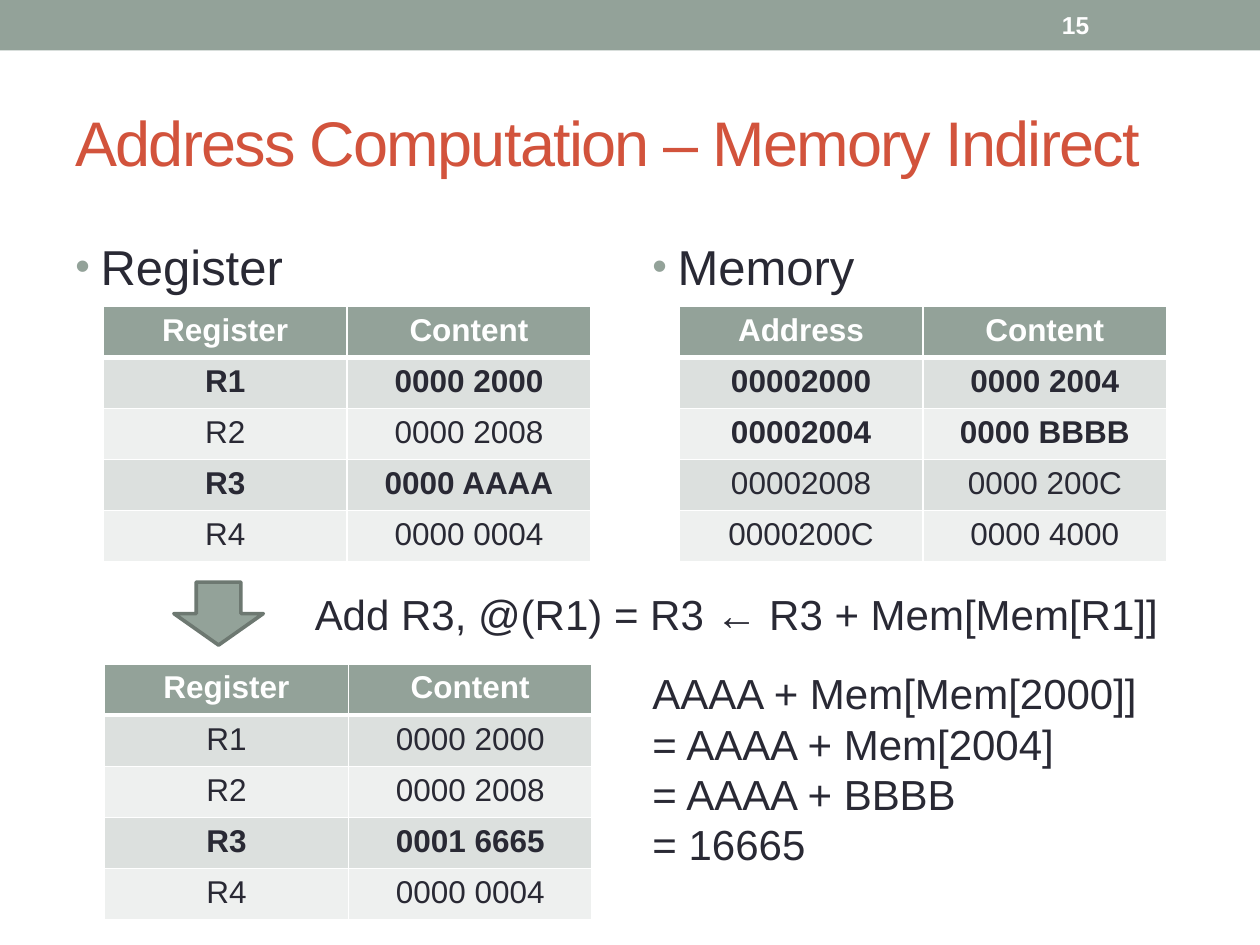
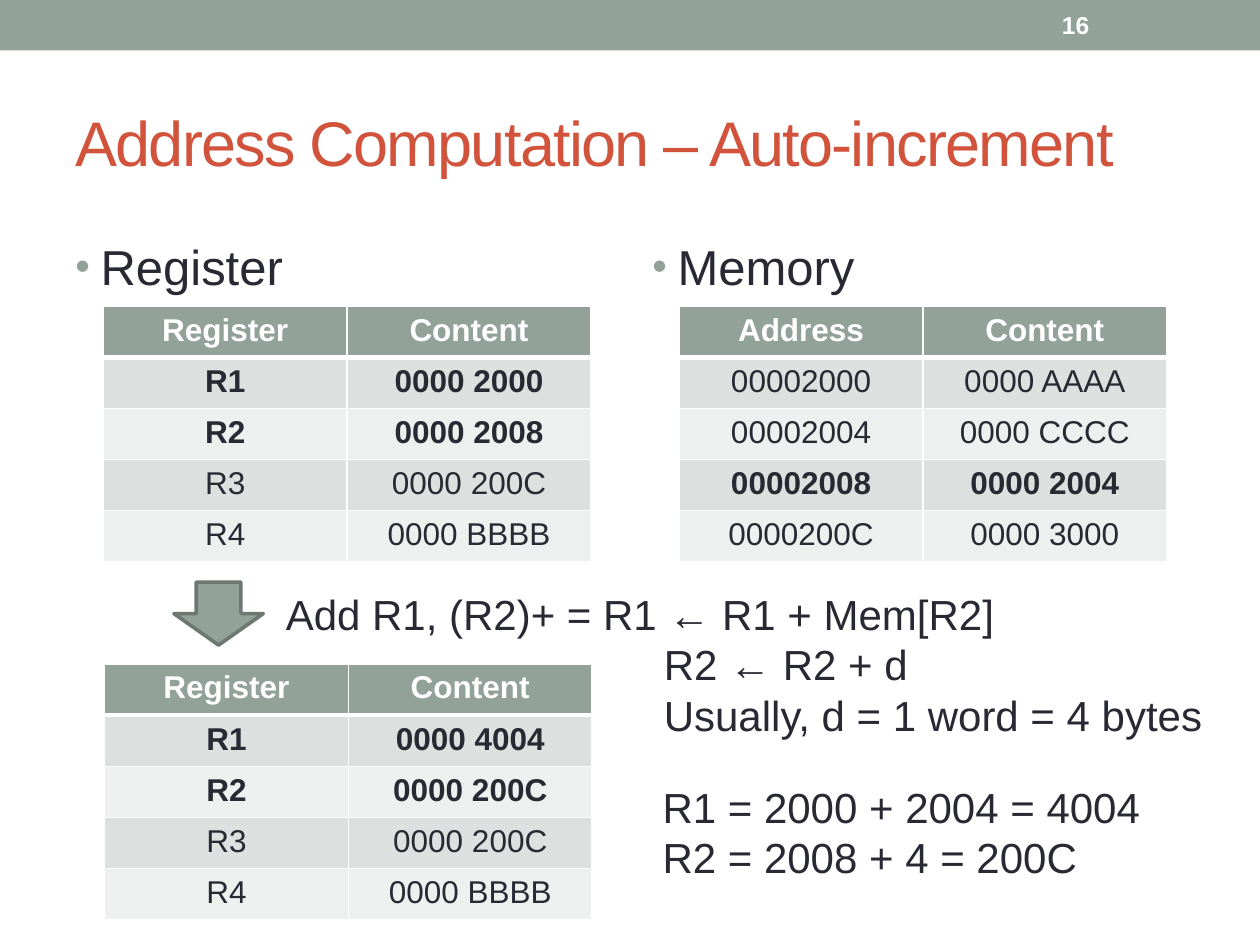
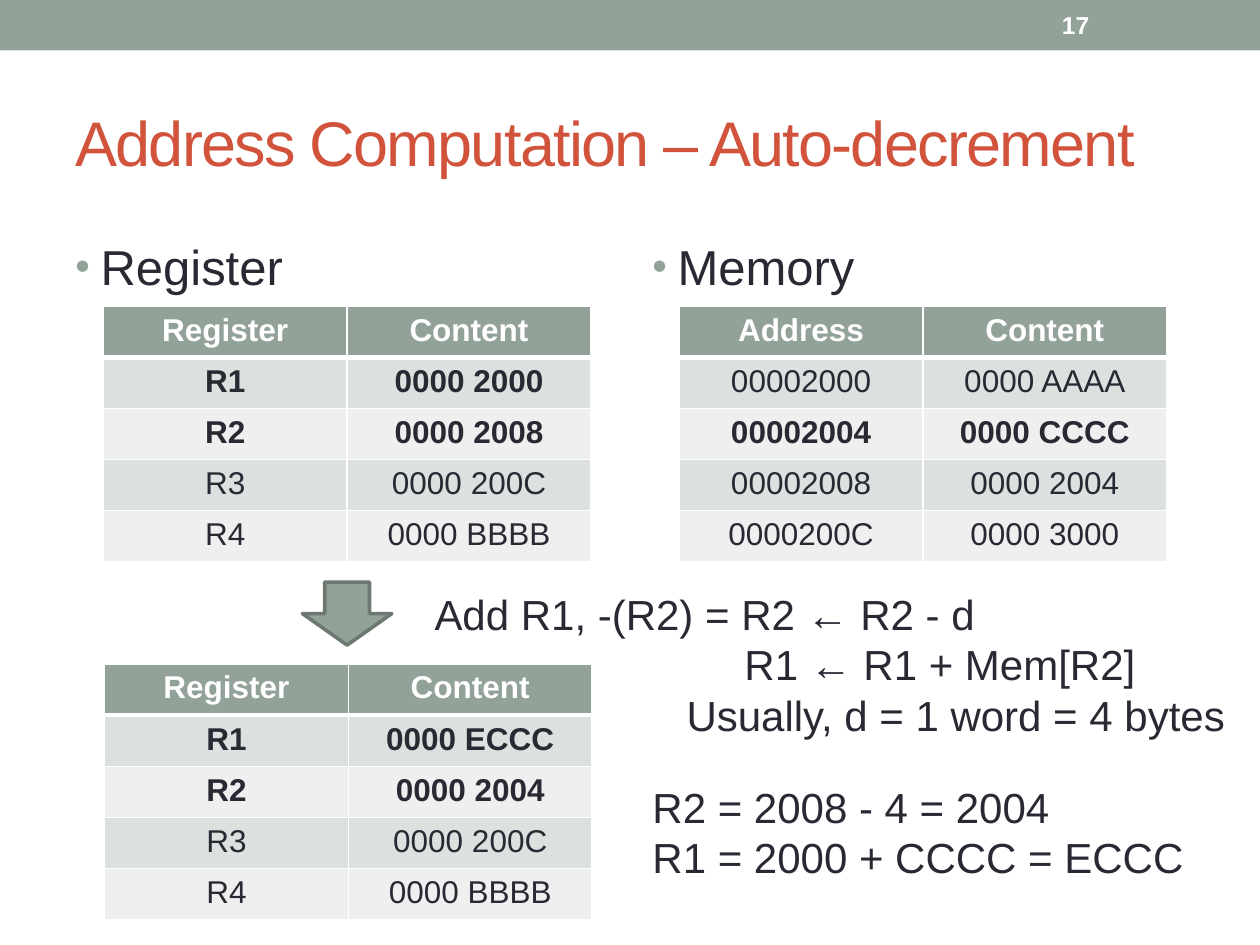
from lxml.etree import SubElement
from pptx import Presentation
from pptx.dml.color import RGBColor
from pptx.enum.shapes import MSO_SHAPE
from pptx.enum.text import MSO_ANCHOR, MSO_AUTO_SIZE, PP_ALIGN
from pptx.oxml.ns import qn
from pptx.util import Inches, Pt

SAGE = RGBColor(0x93, 0xA2, 0x99)
EDGE = RGBColor(0x6D, 0x78, 0x71)
RUST = RGBColor(0xD2, 0x53, 0x3C)
INK = RGBColor(0x29, 0x29, 0x34)
WHITE = RGBColor(0xFF, 0xFF, 0xFF)
BANDS = [RGBColor(0xEE, 0xF0, 0xEF), RGBColor(0xDC, 0xE0, 0xDE)]

TITLE = {"size": Pt(36), "color": RUST, "bold": False}
LABEL = {"size": Pt(28), "color": INK, "bold": False}
NOTE = {"size": Pt(24), "color": INK, "bold": False}
PAGE = {"size": Pt(14), "color": WHITE, "bold": True}
HEAD = {"size": Pt(18), "color": WHITE, "bold": True}
CELL = {"size": Pt(18), "color": INK, "bold": False}
FRAME = {"word_wrap": True, "vertical_anchor": MSO_ANCHOR.TOP}
MIDDLE = {**FRAME, "vertical_anchor": MSO_ANCHOR.MIDDLE}
GROW = {**FRAME, "auto_size": MSO_AUTO_SIZE.SHAPE_TO_FIT_TEXT}
BULLET = [
    ("a:spcBef", "a:spcPct", {"val": "20000"}),
    ("a:buClr", "a:srgbClr", {"val": str(SAGE)}),
    ("a:buSzPct", None, {"val": "85000"}),
    ("a:buFont", None, {"typeface": "Arial"}),
    ("a:buChar", None, {"char": "•"}),
]

REGS = ["R1", "R2", "R3", "R4"]
CELLS = ["00002000", "00002004", "00002008", "0000200C"]
USUAL = "Usually, d = 1 word = 4 bytes"
SLIDES = [
    {
        "title": "Memory Indirect",
        "before": (["0000 2000", "0000 2008", "0000 AAAA", "0000 0004"], ["R1", "R3"]),
        "memory": (["0000 2004", "0000 BBBB", "0000 200C", "0000 4000"], CELLS[:2]),
        "after": (["0000 2000", "0000 2008", "0001 6665", "0000 0004"], ["R3"]),
        "arrow": 1.38,
        "order": (2.4, 4.62, 7.6, 0.5),
        "steps": ["Add R3, @(R1) = R3 ← R3 + Mem[Mem[R1]]"],
        "dents": [0],
        "sum": (5.08, 5.25, 4.65, 1.72),
        "lines": ["AAAA + Mem[Mem[2000]]", "= AAAA + Mem[2004]", "= AAAA + BBBB", "= 16665"],
    },
    {
        "title": "Auto-increment",
        "before": (["0000 2000", "0000 2008", "0000 200C", "0000 BBBB"], ["R1", "R2"]),
        "memory": (["0000 AAAA", "0000 CCCC", "0000 2004", "0000 3000"], ["00002008"]),
        "after": (["0000 4004", "0000 200C", "0000 200C", "0000 BBBB"], ["R1", "R2"]),
        "arrow": 1.38,
        "order": (2.17, 4.62, 7.56, 1.31),
        "steps": ["Add R1, (R2)+ = R1 ← R1 + Mem[R2]", "R2 ← R2 + d", USUAL],
        "dents": [0, 3, 3],
        "sum": (5.16, 6.15, 4.65, 0.91),
        "lines": ["R1 = 2000 + 2004 = 4004", "R2 = 2008 + 4 = 200C"],
    },
    {
        "title": "Auto-decrement",
        "before": (["0000 2000", "0000 2008", "0000 200C", "0000 BBBB"], ["R1", "R2"]),
        "memory": (["0000 AAAA", "0000 CCCC", "0000 2004", "0000 3000"], ["00002004"]),
        "after": (["0000 ECCC", "0000 2004", "0000 200C", "0000 BBBB"], ["R1", "R2"]),
        "arrow": 2.4,
        "order": (3.35, 4.62, 6.65, 1.31),
        "steps": ["Add R1, -(R2) = R2 ← R2 - d", "R1 ← R1 + Mem[R2]", USUAL],
        "dents": [0, 2.46, 2],
        "sum": (5.08, 6.15, 4.65, 0.91),
        "lines": ["R2 = 2008 - 4 = 2004", "R1 = 2000 + CCCC = ECCC"],
    },
]


def style(para, text, form):
    run = para.add_run()
    run.text = text
    run.font.name = "Arial"
    for name, value in form.items():
        if name == "color":
            run.font.color.rgb = value
        else:
            setattr(run.font, name, value)
    return run


def write(slide, box, lines, form, frame=FRAME, dents=(0, 0, 0, 0)):
    body = slide.shapes.add_textbox(*map(Inches, box)).text_frame
    for name, value in frame.items():
        setattr(body, name, value)
    for row, (line, dent) in enumerate(zip(lines, dents)):
        para = body.add_paragraph() if row else body.paragraphs[0]
        style(para, line, form)
        if dent:
            para._p.get_or_add_pPr().set("marL", str(Inches(dent)))
    return body.paragraphs[0]


deck = Presentation()
deck.slide_width = Inches(10)
deck.slide_height = Inches(7.5)

for page, data in enumerate(SLIDES, 15):
    slide = deck.slides.add_slide(deck.slide_layouts[6])
    band = slide.shapes.add_shape(MSO_SHAPE.RECTANGLE, 0, 0, Inches(10), Inches(0.4))
    band.line.fill.background()
    arrow = slide.shapes.add_shape(
        MSO_SHAPE.DOWN_ARROW, Inches(data["arrow"]), Inches(4.62), Inches(0.71), Inches(0.5)
    )
    arrow.line.color.rgb = EDGE
    arrow.line.width = Pt(2.08)
    for shape in (band, arrow):
        shape.shadow.inherit = False
        shape.fill.solid()
        shape.fill.fore_color.rgb = SAGE

    title = "Address Computation – " + data["title"]
    para = write(slide, (0.5, 0.58, 9, 1.08), [title], TITLE, MIDDLE)
    para.runs[0].font._element.set("spc", "-100")
    write(slide, (8.33, 0.02, 1.17, 0.36), [str(page)], PAGE, MIDDLE)

    for left, label in ((0.5, "Register"), (5.08, "Memory")):
        para = write(slide, (left, 1.83, 4.42, 5.16), [label], LABEL)
        props = para._p.get_or_add_pPr()
        props.set("marL", str(Inches(0.2)))
        props.set("indent", str(Inches(-0.2)))
        for tag, child, attrs in BULLET:
            node = SubElement(props, qn(tag))
            if child:
                node = SubElement(node, qn(child))
            for name, value in attrs.items():
                node.set(name, value)

    for left, top, part, head, keys in (
        (0.82, 2.43, "before", "Register", REGS),
        (5.39, 2.43, "memory", "Address", CELLS),
        (0.83, 5.27, "after", "Register", REGS),
    ):
        values, strong = data[part]
        rows = [(head, "Content"), *zip(keys, values)]
        table = slide.shapes.add_table(
            len(rows), 2, Inches(left), Inches(top), Inches(3.87), Inches(2.03)
        ).table
        for row, pair in enumerate(rows):
            form = {**CELL, "bold": pair[0] in strong} if row else HEAD
            for col, text in enumerate(pair):
                cell = table.cell(row, col)
                para = cell.text_frame.paragraphs[0]
                para.alignment = PP_ALIGN.CENTER
                style(para, text, form)
                props = cell._tc.get_or_add_tcPr()
                for side in "LRTB":
                    thick = (row, side) in ((0, "B"), (1, "T"))
                    line = SubElement(props, qn("a:ln" + side), w=str(Pt(3 if thick else 1)))
                    fill = SubElement(line, qn("a:solidFill"))
                    SubElement(fill, qn("a:srgbClr"), val=str(WHITE))
                cell.fill.solid()
                cell.fill.fore_color.rgb = BANDS[row % 2] if row else SAGE

    write(slide, data["order"], data["steps"], NOTE, GROW, data["dents"])
    write(slide, data["sum"], data["lines"], NOTE, GROW)

deck.save("out.pptx")
